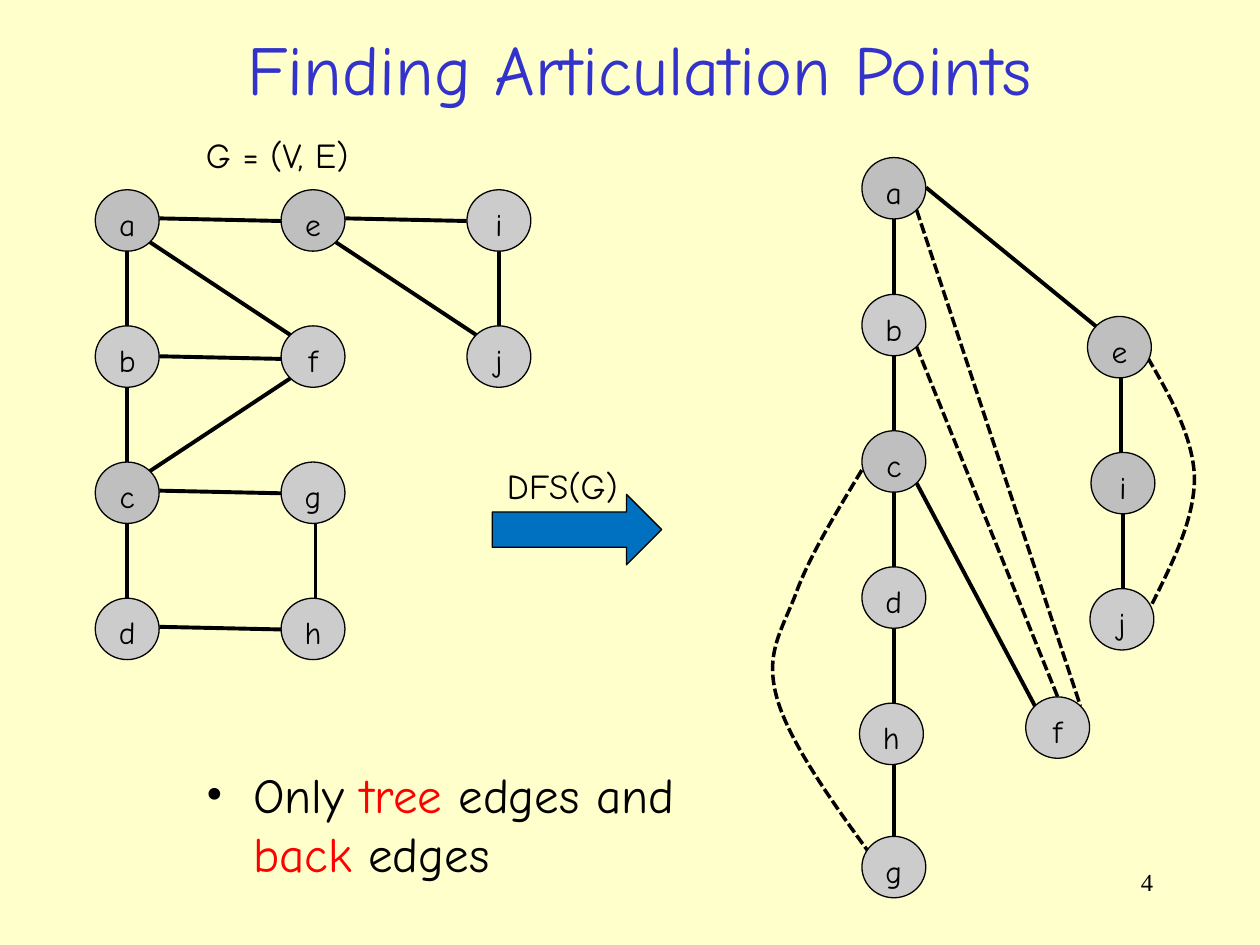
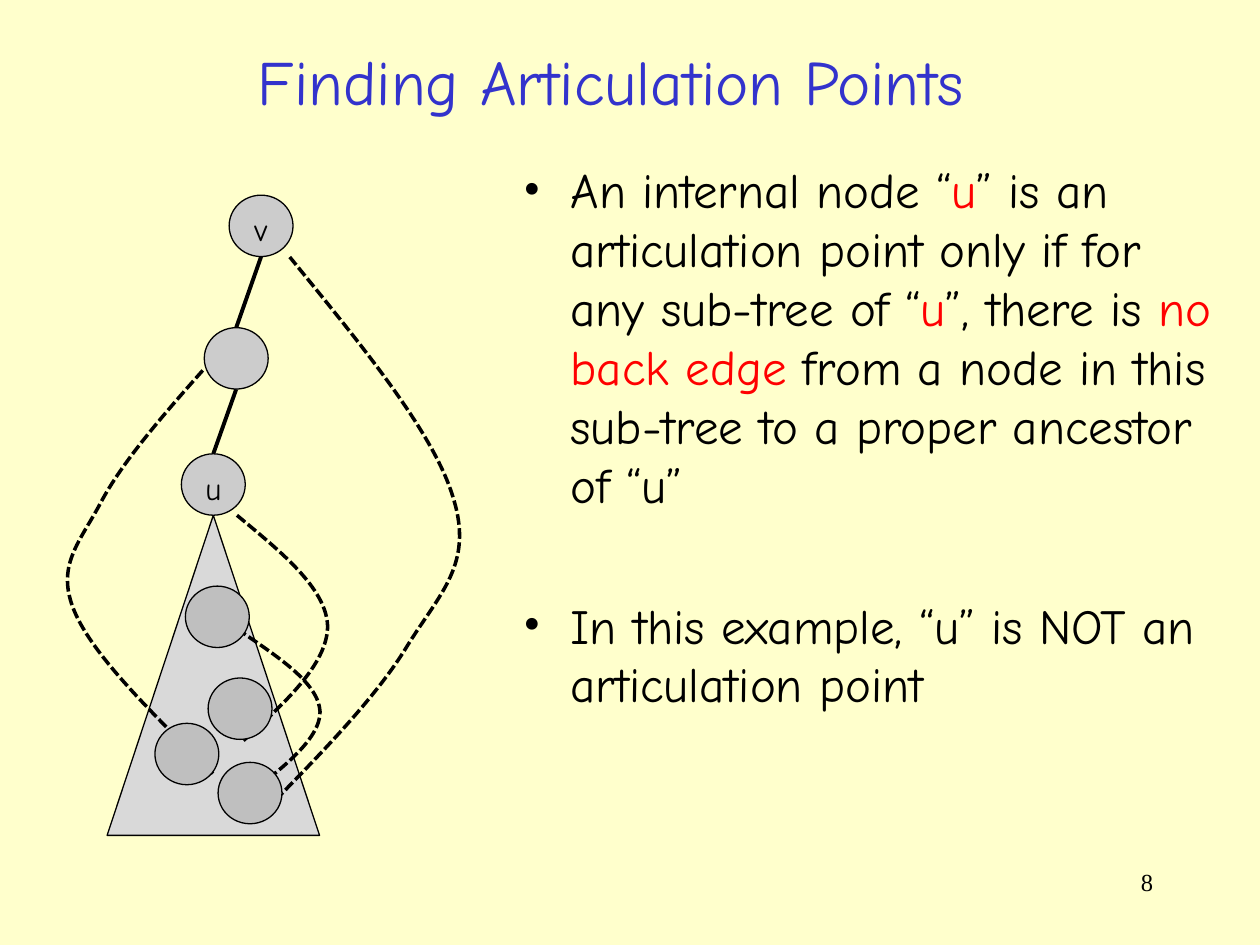
from lxml import etree
from pptx import Presentation
from pptx.dml.color import RGBColor
from pptx.enum import dml, shapes, text
from pptx.oxml import ns
from pptx.util import Pt

BACKGROUND, TITLE_BLUE, ARROW_BLUE = "FFFFCC", "3333CC", "0070C0"
BLACK, RED = "000000", "FF0000"
NODE_LIGHT, NODE_DARK, SUBTREE_GREY = "CCCCCC", "BFBFBF", "D9D9D9"
HAND_FONT, NUMBER_FONT = "Comic Neue", "Times New Roman"
NODE_WIDTH, NODE_HEIGHT = 36.5, 35.1
LEFT, CENTER, RIGHT = text.PP_ALIGN.LEFT, text.PP_ALIGN.CENTER, text.PP_ALIGN.RIGHT
color = RGBColor.from_string

# Where edges meet a node, measured from its centre
SITES = {"N": (0, -17.6), "S": (0, 17.6), "E": (18.4, -1.2), "W": (-18.4, 0.3),
         "NW": (-13, -12.4), "NE": (13, -12.4), "SE": (13, 12.4), "SW": (-13, 12.4)}


def write(frame, paragraphs, size, align=LEFT, font=HAND_FONT, bullet=False, gap=0):
    """Fill a text frame; each paragraph is a list of (text, colour) runs."""
    frame.word_wrap = True
    for index, runs in enumerate(paragraphs):
        paragraph = frame.add_paragraph() if index else frame.paragraphs[0]
        paragraph.alignment = align
        if bullet:
            properties = paragraph._p.get_or_add_pPr()
            properties.set("marL", str(Pt(27)))
            properties.set("indent", str(Pt(-27)))
            bullet_color = etree.SubElement(properties, ns.qn("a:buClr"))
            etree.SubElement(bullet_color, ns.qn("a:srgbClr"), val=BLACK)
            etree.SubElement(properties, ns.qn("a:buFont"), typeface=NUMBER_FONT)
            etree.SubElement(properties, ns.qn("a:buChar"), char="•")
        if index:
            paragraph.space_before = Pt(gap)
        for words, run_color in runs:
            run = paragraph.add_run()
            run.text = words
            run.font.size, run.font.name = Pt(size), font
            run.font.color.rgb = color(run_color)


def add_outlined(slide, kind, left, top, width, height, fill):
    """Add a filled preset shape with a thin black outline."""
    shape = slide.shapes.add_shape(kind, Pt(left), Pt(top), Pt(width), Pt(height))
    shape.shadow.inherit = False
    shape.fill.solid()
    shape.fill.fore_color.rgb = color(fill)
    shape.line.color.rgb = color(BLACK)
    shape.line.width = Pt(0.75)
    return shape


presentation = Presentation()
presentation.slide_width, presentation.slide_height = Pt(720), Pt(540)

# Background, title and page number of both slides
slides = []
for number, title_size, title_box in [("4", 40, (22, 11, 686.9, 54.7)),
                                      ("8", 36, (26.6, 18.7, 645.1, 54.7))]:
    slide = presentation.slides.add_slide(presentation.slide_layouts[6])
    slide.background.fill.solid()
    slide.background.fill.fore_color.rgb = color(BACKGROUND)
    title = slide.shapes.add_textbox(*map(Pt, title_box)).text_frame
    title.vertical_anchor = text.MSO_ANCHOR.MIDDLE
    write(title, [[("Finding Articulation Points", TITLE_BLUE)]], title_size, CENTER)
    page = slide.shapes.add_textbox(Pt(516.2), Pt(491.8), Pt(149.8), Pt(36))
    write(page.text_frame, [[(number, BLACK)]], 14, RIGHT, NUMBER_FONT)
    slides.append(slide)
search_slide, rule_slide = slides

# Search slide: labels, arrow and bullet
label = search_slide.shapes.add_textbox(Pt(110.5), Pt(72.7), Pt(123.8), Pt(31.7))
write(label.text_frame, [[("G = (V, E)", BLACK)]], 20)
add_outlined(search_slide, shapes.MSO_SHAPE.RIGHT_ARROW, 281.3, 282.5, 96.8, 40.3, ARROW_BLUE)
label = search_slide.shapes.add_textbox(Pt(282.5), Pt(262.1), Pt(77.8), Pt(31.7))
write(label.text_frame, [[("DFS(G)", BLACK)]], 20, CENTER)
label.text_frame.word_wrap = False
body = search_slide.shapes.add_textbox(Pt(110.6), Pt(433.6), Pt(315.4), Pt(82.1))
write(body.text_frame, [[("Only ", BLACK), ("tree", RED), (" edges and ", BLACK),
                         ("back", RED), (" edges", BLACK)]], 28, bullet=True)

# Rule slide: bullets and subtree
body = rule_slide.shapes.add_textbox(Pt(292), Pt(87.8), Pt(407.5), Pt(406.8))
write(body.text_frame, [
    [("An internal node “", BLACK), ("u", RED),
     ("” is an articulation point only if for any sub-tree of “", BLACK), ("u", RED),
     ("”, there is ", BLACK), ("no back edge", RED),
     (" from a node in this sub-tree to a proper ancestor of “u”", BLACK)],
    [("In this example, “u” is NOT an articulation point", BLACK)],
], 28, bullet=True, gap=47)
add_outlined(rule_slide, shapes.MSO_SHAPE.ISOSCELES_TRIANGLE,
             61.2, 294.5, 121.4, 182.9, SUBTREE_GREY)

# Node centres
graph_nodes = {}
for column, names in enumerate(["abcd", "efgh", "ij"]):
    for row, name in enumerate(names):
        graph_nodes[name] = (72.7 + 106.2 * column, 126 + 77.8 * row)
tree_nodes = {"a": (510.8, 107.6), "b": (510.8, 185.8), "c": (510.8, 263.7),
              "d": (510.8, 341.5), "h": (509.4, 419.4), "g": (510.8, 495.5),
              "f": (604.4, 415.8), "e": (639.7, 198.4), "i": (641.7, 276.1),
              "j": (641.1, 353.9)}
rule_nodes = {"v": (149.2, 129.1), "parent": (135, 204.8), "u": (121.9, 276.9),
              "low": (142.9, 453.2), "middle": (137.2, 405), "side": (106.8, 430.9),
              "top": (124.2, 352.5)}

# Each edge reads: node, site, node, site, then a shift right and down if it has one
graph_edges = ["a E e W", "e E i W", "b E f W 0 1", "c E g W", "d E h W",
               "a S b N", "b S c N", "c S d N", "g S h N 1.4 0", "i S j N",
               "a SE f NW", "e SE j NW", "f SW c NE"]
tree_edges = ["a S b N", "b S c N", "c S d N", "d S h N", "h S g N",
              "c SE f NW", "a E e NW 0 0.8", "e S i N -0.9 0", "i S j N"]
back_edges = ["b SE f N", "a SE f NE"]
rule_edges = ["v S parent N", "parent S u N"]

# Curved back edges: a start point, then three points for each Bezier piece
tree_curves = [
    [(492.5, 268.6), (477.4, 293.8), (462.2, 318.2), (454.3, 340.6), (445.7, 362.2),
     (437, 374.4), (444.2, 399.6), (451.4, 424.1), (473.8, 455.8), (496.8, 487.4)],
    [(655.9, 204.5), (668.9, 226.8), (681.8, 249.8), (682.6, 272.9), (682.6, 296.6),
     (670.3, 321.1), (658.1, 345.6)]]
rule_curves = [
    [(115.9, 211.7), (92.9, 237.6), (69.8, 264.2), (57.6, 287.3), (45.4, 310.3),
     (31.7, 323.3), (42.5, 349.2), (53.3, 375.1), (87.8, 408.2), (121.7, 442.1)],
    [(135.4, 359.3), (158.4, 375.1), (182.2, 390.2), (182.9, 406.8), (182.9, 422.6),
     (160.6, 439.9), (138.2, 456.5)],
    [(135.4, 294.5), (160.6, 315.4), (186.5, 336.2), (187.2, 357.8), (187.2, 379.4),
     (162.7, 401.8), (138.2, 424.1)],
    [(146.2, 468.7), (180, 434.2), (213.8, 400.3), (232.6, 369.4), (251.3, 339.1),
     (270.7, 322.6), (259.2, 285.1), (248.4, 247.7), (206.6, 197.3), (165.6, 146.9)]]

# Draw the diagrams: edges, curves, then nodes on top
for slide, nodes, dark_nodes, solid_edges, dashed_edges, curves in [
        (search_slide, graph_nodes, ["a", "c", "e"], graph_edges, [], []),
        (search_slide, tree_nodes, ["a", "c", "e", "i"], tree_edges, back_edges, tree_curves),
        (rule_slide, rule_nodes, ["low", "middle", "side", "top"], rule_edges, [],
         rule_curves)]:
    for edge in solid_edges + dashed_edges:
        start, start_site, end, end_site, *shift = edge.split()
        right, down = map(float, shift or (0, 0))
        x1, y1, x2, y2 = [nodes[name][axis] + SITES[site][axis]
                          for name, site in [(start, start_site), (end, end_site)]
                          for axis in (0, 1)]
        if abs(x1 - x2) < 3:  # nearly upright edges stand upright
            x1 = x2 = max(x1, x2)
        connector = slide.shapes.add_connector(
            shapes.MSO_CONNECTOR.STRAIGHT,
            Pt(x1 + right), Pt(y1 + down), Pt(x2 + right), Pt(y2 + down))
        connector.line.color.rgb = color(BLACK)
        connector.line.width = Pt(2.25)
        if edge in dashed_edges:
            connector.line.width = Pt(2)
            connector.line.dash_style = dml.MSO_LINE.SQUARE_DOT
        etree.SubElement(connector._element.spPr, ns.qn("a:effectLst"))

    for curve in curves:
        points = [(Pt(x), Pt(y)) for x, y in curve]
        builder = slide.shapes.build_freeform(*points[0])
        builder.add_line_segments(points[3::3], close=False)
        shape = builder.convert_to_shape()
        # Bend each straight segment into a Bezier piece
        segments = list(shape._element.iter(ns.qn("a:lnTo")))
        for index, segment in enumerate(segments):
            bend = etree.Element(ns.qn("a:cubicBezTo"))
            for x, y in points[3 * index + 1:3 * index + 4]:
                etree.SubElement(bend, ns.qn("a:pt"),
                                 x=str(x - shape.left), y=str(y - shape.top))
            segment.getparent().replace(segment, bend)
        shape.shadow.inherit = False
        shape.fill.background()
        shape.line.color.rgb = color(BLACK)
        shape.line.width = Pt(2)
        shape.line.dash_style = dml.MSO_LINE.SQUARE_DOT

    for name, (x, y) in nodes.items():
        node = add_outlined(slide, shapes.MSO_SHAPE.OVAL, x - NODE_WIDTH / 2,
                            y - NODE_HEIGHT / 2, NODE_WIDTH, NODE_HEIGHT,
                            NODE_DARK if name in dark_nodes else NODE_LIGHT)
        if len(name) == 1:
            node.text_frame.vertical_anchor = text.MSO_ANCHOR.TOP
            write(node.text_frame, [[(name, BLACK)]], 18, CENTER)

presentation.save("out.pptx")
